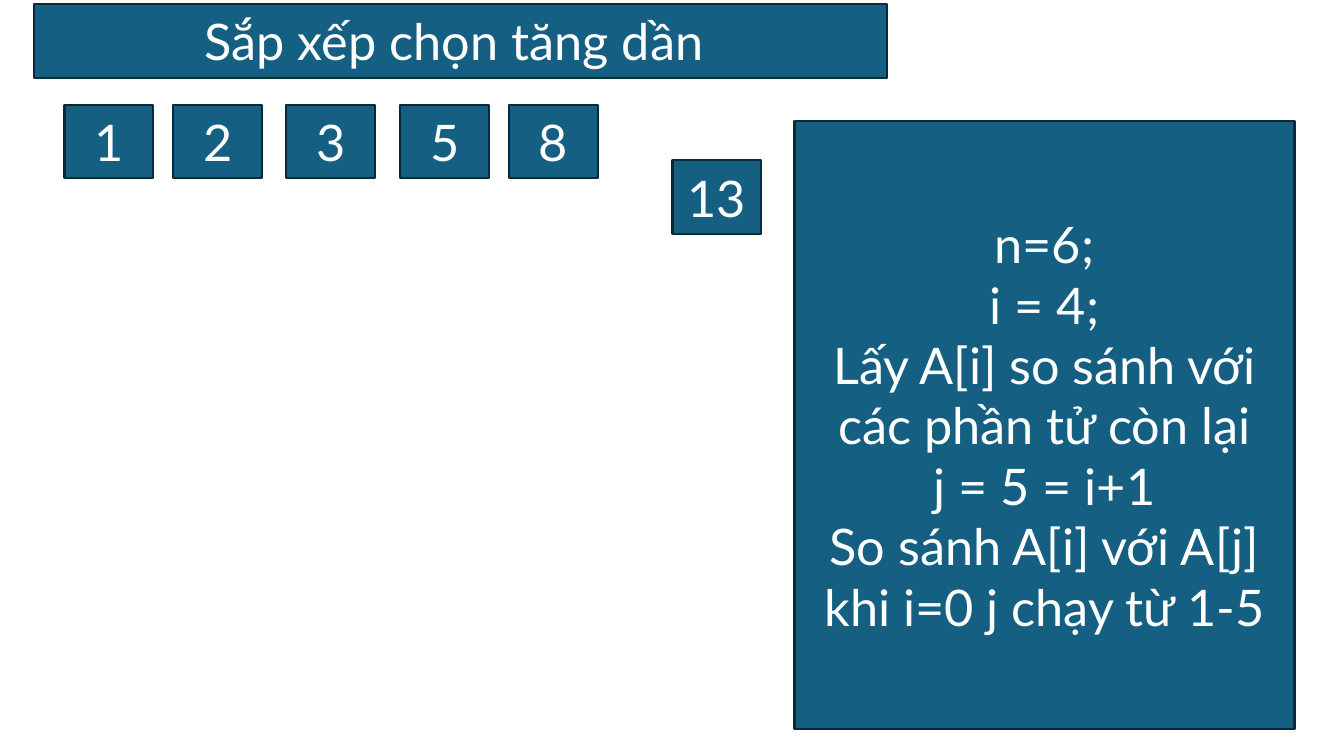
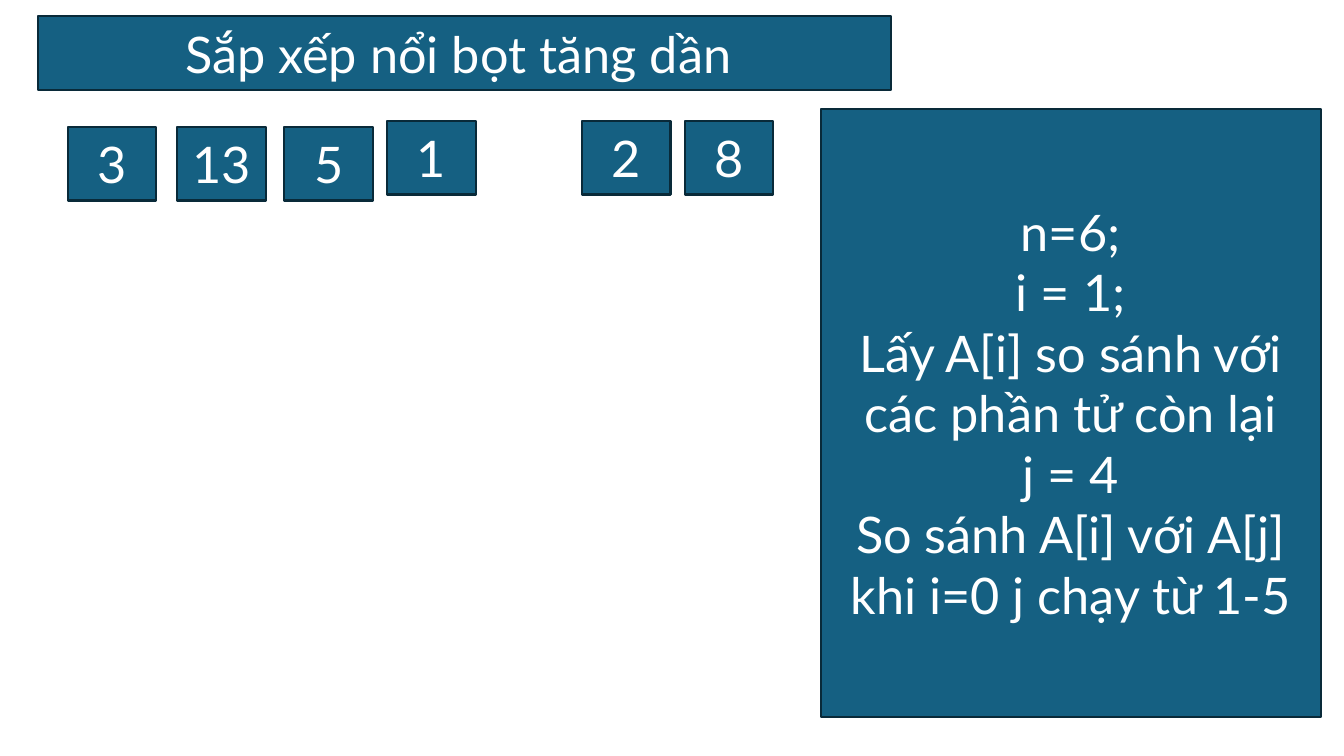
from pptx import Presentation
from pptx.dml.color import RGBColor
from pptx.enum.shapes import MSO_SHAPE
from pptx.enum.text import MSO_ANCHOR, MSO_AUTO_SIZE, PP_ALIGN
from pptx.util import Inches, Pt

BLUE, NAVY, WHITE = "156082", "092A39", "FFFFFF"
FONT = "Lato"
TITLE_SIZE = (8.46, 0.73)
CELL_SIZE = (0.88, 0.73)
PANEL_SIZE = (4.96, 6.03)


def paint(color_format, color):
    """Give a fill, line or font colour its hex value."""
    color_format.rgb = RGBColor.from_string(color)


def format_box(shape, position, size, text):
    """Place a shape and give it the shared box style and its text."""
    shape.left, shape.top = (Inches(value) for value in position)
    shape.width, shape.height = (Inches(value) for value in size)
    shape.shadow.inherit = False
    shape.fill.solid()
    paint(shape.fill.fore_color, BLUE)
    paint(shape.line.color, NAVY)
    shape.line.width = Pt(1.5)
    text_frame = shape.text_frame
    text_frame.text = text
    text_frame.word_wrap = True
    text_frame.auto_size = MSO_AUTO_SIZE.NONE
    text_frame.vertical_anchor = MSO_ANCHOR.MIDDLE
    for paragraph in text_frame.paragraphs:
        paragraph.alignment = PP_ALIGN.CENTER
        for run in paragraph.runs:
            run.font.name = FONT
            run.font.size = Pt(36)
            paint(run.font.color, WHITE)


# Each array cell is (value, left, top); i and j are the panel's counters.
sorting_steps = [
    {
        "title": "Sắp xếp chọn tăng dần ",
        "title_at": (0.34, 0.04),
        "cells": [(1, 0.64, 1.04), (2, 1.72, 1.04), (3, 2.84, 1.04),
                  (5, 3.97, 1.04), (8, 5.05, 1.04), (13, 6.67, 1.59)],
        "panel_at": (7.88, 1.2),
        "i": "4",
        "j": "5 = i+1",
    },
    {
        "title": "Sắp xếp nổi bọt tăng dần ",
        "title_at": (0.38, 0.16),
        "cells": [(3, 0.67, 1.26), (13, 1.76, 1.26), (5, 2.82, 1.26),
                  (1, 3.84, 1.2), (2, 5.77, 1.2), (8, 6.79, 1.2)],
        "panel_at": (8.14, 1.08),
        "i": "1",
        "j": "4",
    },
]

presentation = Presentation()
presentation.slide_width = Inches(13.33)
presentation.slide_height = Inches(7.5)
title_only = presentation.slide_layouts[5]

for step in sorting_steps:
    slide = presentation.slides.add_slide(title_only)
    format_box(slide.shapes.title, step["title_at"], TITLE_SIZE, step["title"])

    panel_text = "\n".join([
        "n=6;",
        f"i = {step['i']};",
        "Lấy A[i] so sánh với các phần tử còn lại",
        f"j = {step['j']}",
        "So sánh A[i] với A[j]\vkhi i=0 j chạy từ 1-5",
    ])
    boxes = [((left, top), CELL_SIZE, str(value))
             for value, left, top in step["cells"]]
    boxes.append((step["panel_at"], PANEL_SIZE, panel_text))
    for position, size, text in boxes:
        shape = slide.shapes.add_shape(MSO_SHAPE.RECTANGLE, 0, 0, 0, 0)
        format_box(shape, position, size, text)

presentation.save("out.pptx")
